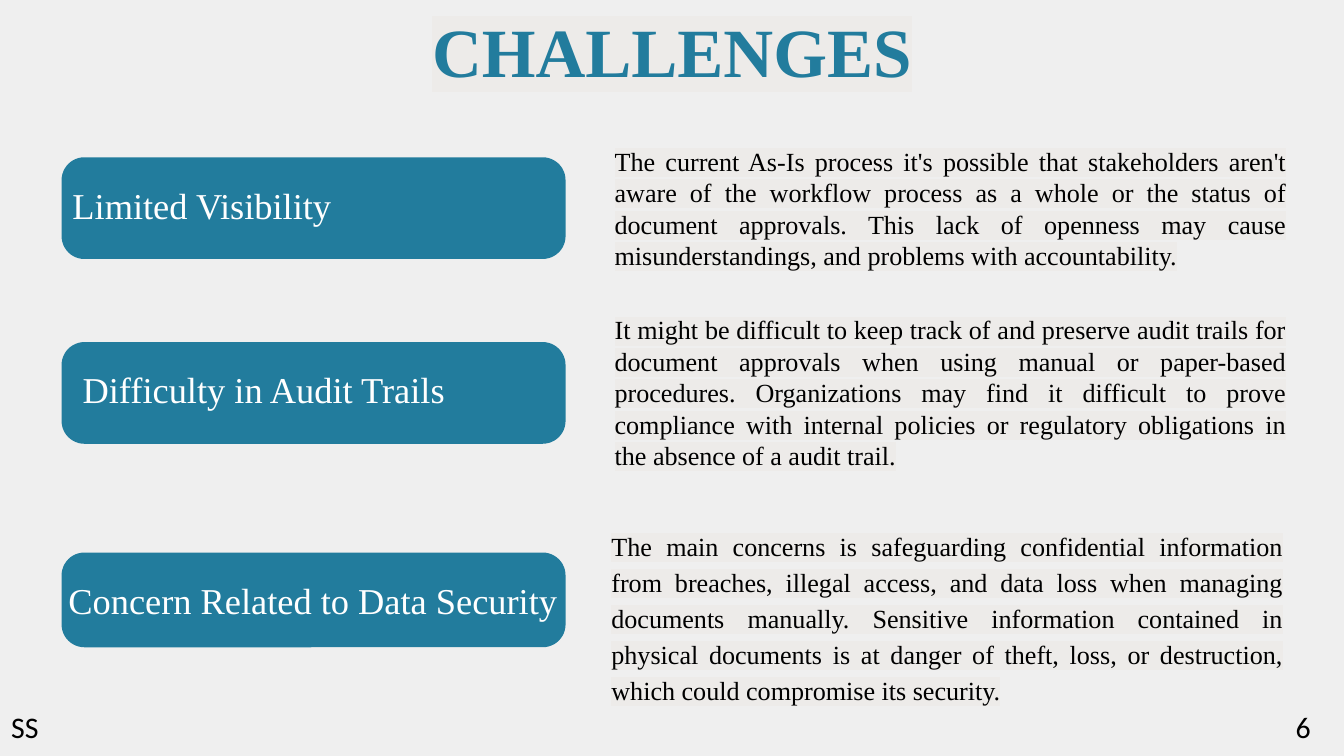
from pptx import Presentation
from pptx.dml.color import RGBColor
from pptx.enum.shapes import MSO_SHAPE
from pptx.enum.text import MSO_ANCHOR, MSO_AUTO_SIZE, PP_ALIGN
from pptx.oxml.ns import qn
from pptx.util import Pt
from lxml.etree import Element, SubElement

COLORS = {
    "background": "EFEFEF",
    "teal": "227C9D",
    "white": "FFFFFF",
    "black": "000000",
    "highlight": "EDEBE9",
}
SERIF, SANS = "Times New Roman", "Calibri"
PILL_LEFT, PILL_WIDTH, PILL_RADIUS = 66, 540, 24.5
LABEL_HEIGHT, DETAIL_WIDTH, INSET = 62, 733.5, 7.2

CHALLENGES = [
    {
        "label": "Limited Visibility",
        "pill": (168.5, 109),
        "label_left": 70.6,
        "detail": "The current As-Is process it's possible that stakeholders aren't aware "
                  "of the workflow process as a whole or the status of document approvals. "
                  "This lack of openness may cause misunderstandings, and problems with "
                  "accountability.",
        "detail_box": (651.5, 148.3, DETAIL_WIDTH, 150.5),
        "line_spacing": 1.0,
    },
    {
        "label": "Difficulty in Audit Trails",
        "pill": (366.5, 109),
        "label_left": 81.4,
        "detail": "It might be difficult to keep track of and preserve audit trails for "
                  "document approvals when using manual or paper-based procedures. "
                  "Organizations may find it difficult to prove compliance with internal "
                  "policies or regulatory obligations in the absence of a audit trail.",
        "detail_box": (651.5, 329, DETAIL_WIDTH, 184.3),
        "line_spacing": 1.0,
    },
    {
        "label": "Concern Related to Data Security",
        "pill": (592, 101.5),
        "label_left": 66.2,
        "detail": "The main concerns is safeguarding confidential information from breaches, "
                  "illegal access, and data loss when managing documents manually. Sensitive "
                  "information contained in physical documents is at danger of theft, loss, "
                  "or destruction, which could compromise its security.",
        "detail_box": (648, 555.8, DETAIL_WIDTH, 204.5),
        "line_spacing": 1.15,
    },
]


def rgb(name):
    """Return the named colour."""
    return RGBColor.from_string(COLORS[name])


def write(frame, text, size, color, font=SERIF, bold=False, align=PP_ALIGN.LEFT,
          spacing=1.0, inset=INSET, highlight=False):
    """Set up a text frame, add one formatted run and return its paragraph."""
    frame.word_wrap = True
    frame.auto_size = MSO_AUTO_SIZE.NONE
    frame.vertical_anchor = MSO_ANCHOR.TOP
    frame.margin_left = frame.margin_right = Pt(inset)
    frame.margin_top = frame.margin_bottom = Pt(inset)
    paragraph = frame.paragraphs[0]
    paragraph.alignment = align
    paragraph.line_spacing = spacing
    run = paragraph.add_run()
    run.text = text
    run.font.name, run.font.size, run.font.bold = font, Pt(size), bold
    run.font.color.rgb = rgb(color)
    if highlight:
        marker = Element(qn("a:highlight"))
        SubElement(marker, qn("a:srgbClr"), val=COLORS["highlight"])
        run.font._element.find(qn("a:solidFill")).addnext(marker)
    return paragraph


def add_text(slide, box, text, size, color, **style):
    """Add a text box in the given box and return its paragraph."""
    textbox = slide.shapes.add_textbox(*map(Pt, box))
    return write(textbox.text_frame, text, size, color, **style)


def add_title(slide, box):
    """Place the heading in the title placeholder."""
    title = slide.shapes.title
    title.left, title.top, title.width, title.height = map(Pt, box)
    write(title.text_frame, "CHALLENGES", 74, "teal", bold=True,
          align=PP_ALIGN.CENTER, spacing=1.15, inset=0, highlight=True)


def add_pill(slide, box, label, label_left):
    """Draw a rounded bar with its label."""
    left, top, width, height = box
    pill = slide.shapes.add_shape(MSO_SHAPE.ROUNDED_RECTANGLE, *map(Pt, box))
    pill.adjustments[0] = PILL_RADIUS / height
    pill.shadow.inherit = False
    pill.fill.solid()
    pill.fill.fore_color.rgb = rgb("teal")
    pill.line.fill.background()
    label_box = (label_left, top + 20, left + width - label_left, LABEL_HEIGHT)
    add_text(slide, label_box, label, 39, "white")


def add_challenge(slide, challenge):
    """Place one challenge: its pill and its explanation."""
    top, height = challenge["pill"]
    add_pill(slide, (PILL_LEFT, top, PILL_WIDTH, height),
             challenge["label"], challenge["label_left"])
    add_text(slide, challenge["detail_box"], challenge["detail"], 28, "black",
             align=PP_ALIGN.JUSTIFY, spacing=challenge["line_spacing"], highlight=True)


def add_footer(slide, box):
    """Place the initials at the left and the page number at the right."""
    left, top, width, height = box
    add_text(slide, (left, top, 698, height), "SS", 32, "black", font=SANS)
    number_width = 275.5
    number_box = (left + width - number_width, top, number_width, height)
    number = add_text(slide, number_box, "6", 32, "black", font=SANS)
    properties = number._p.get_or_add_pPr()
    properties.set("marL", str(Pt(180)))
    properties.set("indent", str(Pt(36)))


def main():
    """Build and save the slide."""
    presentation = Presentation()
    presentation.slide_width, presentation.slide_height = Pt(1440), Pt(810)
    slide = presentation.slides.add_slide(presentation.slide_layouts[5])
    slide.background.fill.solid()
    slide.background.fill.fore_color.rgb = rgb("background")
    add_title(slide, (454.5, -4.5, 531, 90))
    for challenge in CHALLENGES:
        add_challenge(slide, challenge)
    add_footer(slide, (5, 751.7, 1435.5, 53.3))
    presentation.save("out.pptx")


if __name__ == "__main__":
    main()
